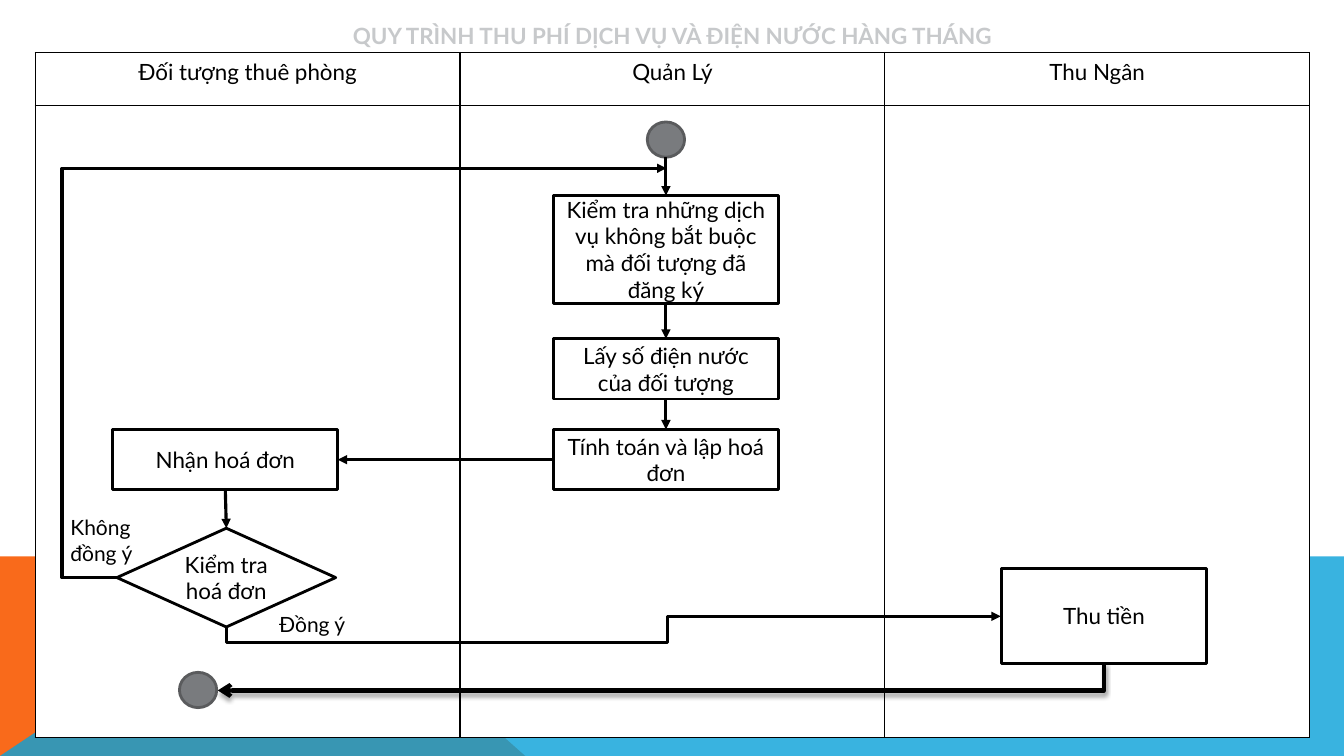
from lxml.etree import SubElement
from pptx import Presentation
from pptx.dml.color import RGBColor
from pptx.enum.shapes import MSO_CONNECTOR, MSO_SHAPE
from pptx.enum.text import MSO_ANCHOR, MSO_AUTO_SIZE, PP_ALIGN
from pptx.oxml.ns import qn
from pptx.util import Inches, Pt

COLORS = {
    "black": "000000", "white": "FFFFFF", "title": "C7C9CB",
    "orange": "F96A1B", "blue": "08A1D9", "dot": "797B7E", "dot_edge": "5A5B5D",
}
FONT = "Lato"
TOP, LEFT, BOTTOM, RIGHT = range(4)  # connection sites of boxes and diamonds


def rgb(name):
    """Return the named palette colour."""
    return RGBColor.from_string(COLORS[name])


def inches(*values):
    """Convert several lengths to EMU."""
    return [Inches(value) for value in values]


def write(frame, text, size=16, color="black", bold=False,
          align=PP_ALIGN.CENTER, anchor=MSO_ANCHOR.MIDDLE):
    """Put formatted, wrapped text in a text frame."""
    frame.word_wrap = True
    frame.auto_size = MSO_AUTO_SIZE.NONE
    frame.vertical_anchor = anchor
    paragraph = frame.paragraphs[0]
    paragraph.alignment = align
    run = paragraph.add_run()
    run.text = text
    run.font.name, run.font.size, run.font.bold = FONT, Pt(size), bold
    run.font.color.rgb = rgb(color)


def add_band(slide, color, points, alpha=100):
    """Draw one borderless decorative polygon at the slide's foot."""
    corners = [inches(*point) for point in points]
    builder = slide.shapes.build_freeform(*corners[0])
    builder.add_line_segments(corners[1:], close=True)
    band = builder.convert_to_shape()
    band.shadow.inherit = False
    band.line.fill.background()
    band.fill.solid()
    band.fill.fore_color.rgb = rgb(color)
    if alpha < 100:
        tint = band._element.spPr.find(qn("a:solidFill"))[0]
        SubElement(tint, qn("a:alpha"), val=str(alpha * 1000))


def add_title(slide, text):
    """Place the slide title above the swimlanes."""
    title = slide.shapes.title
    title.left, title.top, title.width, title.height = inches(0.92, 0.17, 11.5, 0.37)
    write(title.text_frame, text, color="title", bold=True)


def add_border(cell):
    """Give a cell a thin black line on all sides."""
    properties = cell._tc.get_or_add_tcPr()
    for side in ("lnL", "lnR", "lnT", "lnB"):
        edge = SubElement(properties, qn(f"a:{side}"), w=str(Pt(1)))
        paint = SubElement(edge, qn("a:solidFill"))
        SubElement(paint, qn("a:srgbClr"), val=COLORS["black"])


def add_swimlanes(slide, actors):
    """Draw the table with one lane for each actor."""
    frame = slide.shapes.add_table(2, len(actors), *inches(0.35, 0.52, 12.64, 6.8))
    lanes = frame.table
    for row, height in zip(lanes.rows, (0.53, 6.27)):
        row.height = Inches(height)
    for cell in lanes.iter_cells():
        add_border(cell)
        cell.fill.solid()
        cell.fill.fore_color.rgb = rgb("white")
        cell.margin_left = cell.margin_right = Inches(0.12)
        cell.margin_top = cell.margin_bottom = Inches(0.06)
    for column, actor in enumerate(actors):
        header = lanes.cell(0, column)
        write(header.text_frame, actor, anchor=MSO_ANCHOR.TOP)


def add_node(slide, kind, box, text="", fill="white", edge="black"):
    """Add a step, a decision or a start/end point of the flow."""
    node = slide.shapes.add_shape(kind, *inches(*box))
    node.shadow.inherit = False
    node.fill.solid()
    node.fill.fore_color.rgb = rgb(fill)
    node.line.color.rgb = rgb(edge)
    node.line.width = Pt(2)
    if text:
        write(node.text_frame, text)
    return node


def add_step(slide, text, left, top, width=2.23, height=0.6):
    """Add a rectangular process step."""
    return add_node(slide, MSO_SHAPE.RECTANGLE, (left, top, width, height), text)


def add_terminal(slide, left, top):
    """Add the grey circle that starts or ends the flow."""
    return add_node(slide, MSO_SHAPE.OVAL, (left, top, 0.37, 0.35),
                    fill="dot", edge="dot_edge")


def add_label(slide, text, box):
    """Add the answer beside a branch of the decision."""
    label = slide.shapes.add_textbox(*inches(*box))
    write(label.text_frame, text, size=15, align=PP_ALIGN.LEFT, anchor=MSO_ANCHOR.TOP)


def style_arrow(arrow, width=2.25, head="triangle", shadow=False):
    """Make a connector a black arrow, with a soft shadow if asked."""
    arrow.line.color.rgb = rgb("black")
    arrow.line.width = Pt(width)
    SubElement(arrow.line._get_or_add_ln(), qn("a:tailEnd"), type=head)
    effects = SubElement(arrow._element.spPr, qn("a:effectLst"))
    if shadow:
        cast = SubElement(effects, qn("a:outerShdw"), blurRad=str(Pt(3.1)),
                          dist=str(Pt(1.8)), dir="5400000", rotWithShape="0")
        tint = SubElement(cast, qn("a:srgbClr"), val=COLORS["black"])
        SubElement(tint, qn("a:alpha"), val="35000")


def join(slide, source, source_site, target, target_site):
    """Join two nodes with a straight arrow glued to their sites."""
    arrow = slide.shapes.add_connector(MSO_CONNECTOR.STRAIGHT, 0, 0, 0, 0)
    arrow.begin_connect(source, source_site)
    arrow.end_connect(target, target_site)
    if source.auto_shape_type == MSO_SHAPE.OVAL:
        # A circle has eight sites, so each side has twice the usual number.
        glue = next(arrow._element.iter(qn("a:stCxn")))
        glue.set("idx", str(source_site * 2))
    style_arrow(arrow)


def add_elbow(slide, preset, box, bends=(), turn=0, flips=(), **style):
    """Add a bent arrow; box is its frame before the turn in degrees."""
    left, top, width, height = box
    arrow = slide.shapes.add_connector(
        MSO_CONNECTOR.ELBOW, *inches(left, top, left + width, top + height))
    properties = arrow._element.spPr
    frame = properties.find(qn("a:xfrm"))
    for flip in flips:
        frame.set(flip, "1")
    frame.set("rot", str(turn * 60000))
    geometry = properties.find(qn("a:prstGeom"))
    geometry.set("prst", preset)
    guides = geometry.find(qn("a:avLst"))
    for number, bend in enumerate(bends, start=1):
        SubElement(guides, qn("a:gd"), name=f"adj{number}",
                   fmla=f"val {round(bend * 100000)}")
    style_arrow(arrow, **style)


def main():
    """Build the monthly fee collection slide."""
    deck = Presentation()
    deck.slide_width, deck.slide_height = inches(13.33, 7.5)
    slide = deck.slides.add_slide(deck.slide_layouts[5])

    add_band(slide, "orange", [(0, 7.5), (0, 5.52), (2.98, 5.52), (5.21, 7.5)])
    add_band(slide, "blue", [(0, 7.5), (2.97, 5.52), (13.33, 5.52), (13.33, 7.5)], alpha=80)
    add_title(slide, "QUY TRÌNH THU PHÍ DỊCH VỤ VÀ ĐIỆN NƯỚC HÀNG THÁNG")
    add_swimlanes(slide, ["Đối tượng thuê phòng", "Quản Lý", "Thu Ngân"])

    start = add_terminal(slide, 6.42, 1.21)
    add_terminal(slide, 1.78, 6.67)
    services = add_step(
        slide, "Kiểm tra những dịch vụ không bắt buộc mà đối tượng đã đăng ký",
        5.49, 1.94, height=1.07)
    meters = add_step(slide, "Lấy số điện nước của đối tượng", 5.49, 3.36)
    invoice = add_step(slide, "Tính toán và lập hoá đơn", 5.49, 4.26)
    receipt = add_step(slide, "Nhận hoá đơn", 1.12, 4.26)
    check = add_node(slide, MSO_SHAPE.DIAMOND, (1.16, 5.24, 2.17, 0.98), "Kiểm tra hoá đơn")
    add_step(slide, "Thu tiền", 9.93, 5.64, width=2.04, height=0.94)

    join(slide, start, BOTTOM, services, TOP)
    join(slide, services, BOTTOM, meters, TOP)
    join(slide, meters, BOTTOM, invoice, TOP)
    join(slide, invoice, LEFT, receipt, RIGHT)
    join(slide, receipt, BOTTOM, check, TOP)

    add_elbow(slide, "bentConnector4", (6.03, 2.33, 0.11, 7.68),
              bends=(-1.34, 0.57), turn=90, flips=("flipH", "flipV"))
    add_elbow(slide, "bentConnector3", (1.16, 1.67, 5.45, 4.06),
              bends=(-0.1,), flips=("flipV",))
    add_elbow(slide, "bentConnector2", (6.42, 2.32, 0.27, 8.79),
              turn=90, width=3, head="arrow", shadow=True)

    add_label(slide, "Đồng ý", (2.67, 6.02, 1.11, 0.35))
    add_label(slide, "Không đồng ý", (0.6, 5.06, 1.04, 0.61))
    deck.save("out.pptx")


if __name__ == "__main__":
    main()
